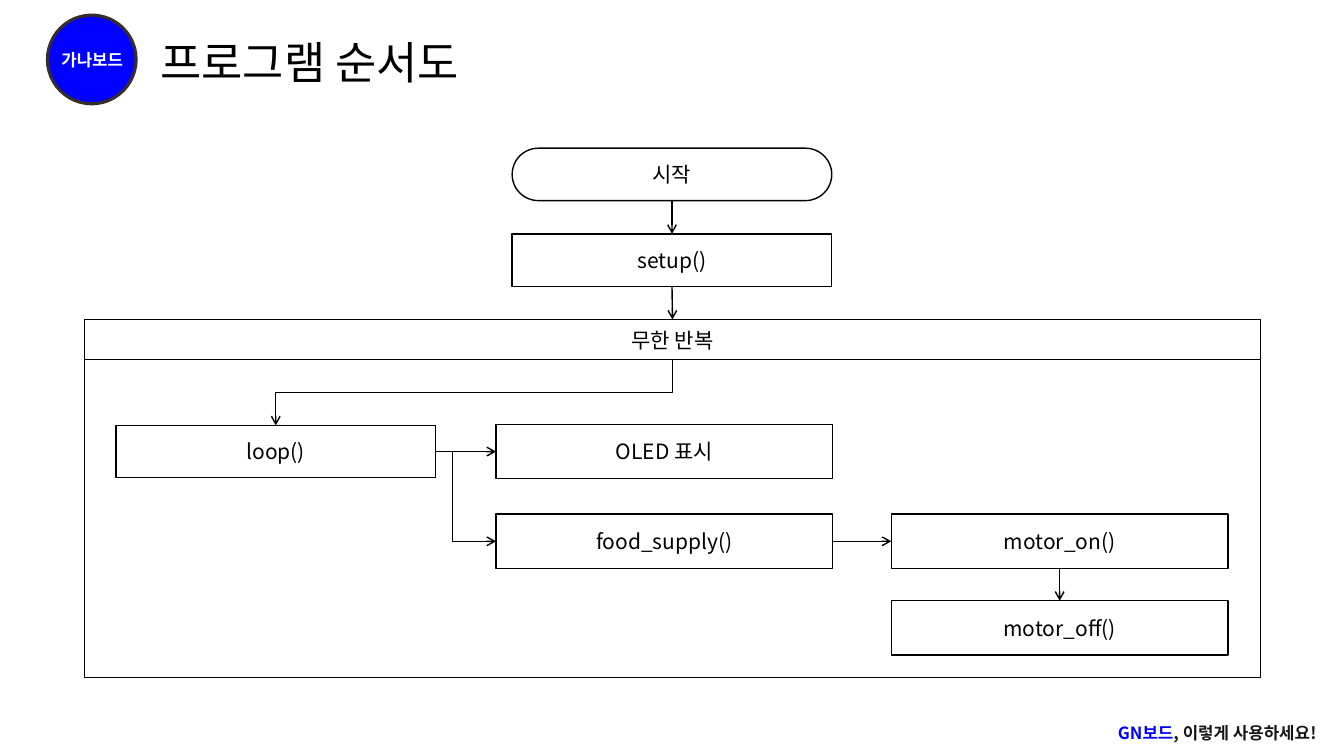
import pptx
import pptx.dml.color
import pptx.enum.shapes
import pptx.enum.text
import pptx.oxml
import pptx.oxml.ns
import pptx.util

FONT = "Noto Sans CJK KR"
W, H = 13.33, 7.5
MID = W / 2
TITLE = "프로그램 순서도"
BADGE = "가나보드"
FOOTER = [("GN보드", "0000FF"), (", 이렇게 사용하세요!", "181717")]

# column: (left, width); row: (top, height)
COLS = {"frame": (0.84, 11.66), "centre": (MID - 1.585, 3.17), "loop": (1.15, 3.17),
        "calls": (4.92, 3.34), "motor": (8.84, 3.34)}
ROWS = {"start": (1.47, 0.52), "setup": (2.32, 0.52), "frame": (3.17, 3.55),
        "header": (3.17, 0.4), "loop": (4.22, 0.52), "oled": (4.21, 0.54),
        "food": (5.1, 0.54), "off": (5.96, 0.54)}

# name: (text, column, row)
BOXES = {
    "start": ("시작", "centre", "start"),
    "setup": ("setup()", "centre", "setup"),
    "frame": ("", "frame", "frame"),
    "header": ("무한 반복", "frame", "header"),
    "loop": ("loop()", "loop", "loop"),
    "oled": ("OLED 표시", "calls", "oled"),
    "food": ("food_supply()", "calls", "food"),
    "motor_on": ("motor_on()", "motor", "food"),
    "motor_off": ("motor_off()", "motor", "off"),
}
TOP, LEFT, BOTTOM, RIGHT = range(4)
ARROWS = [
    ("start", BOTTOM, "setup", TOP),
    ("setup", BOTTOM, "header", TOP),
    ("loop", RIGHT, "oled", LEFT),
    ("food", RIGHT, "motor_on", LEFT),
    ("motor_on", BOTTOM, "motor_off", TOP),
]
BRANCH_X = 4.49

SHAPE = pptx.enum.shapes.MSO_SHAPE
LINK = pptx.enum.shapes.MSO_CONNECTOR
ALIGN = pptx.enum.text.PP_ALIGN
ANCHOR = pptx.enum.text.MSO_ANCHOR
inch = pptx.util.Inches


def rgb(code):
    return pptx.dml.color.RGBColor.from_string(code)


def write(tf, runs, size, align, bold=False):
    """Fill the first paragraph with (text, colour) runs."""
    p = tf.paragraphs[0]
    p.alignment = align
    for text, colour in runs:
        r = p.add_run()
        r.text = text
        for key, value in {"name": FONT, "size": pptx.util.Pt(size), "bold": bold}.items():
            setattr(r.font, key, value)
        r.font.color.rgb = rgb(colour)
        ea = pptx.oxml.parse_xml(f'<a:ea {pptx.oxml.ns.nsdecls("a")} typeface="{FONT}"/>')
        r.font._element.find(pptx.oxml.ns.qn("a:latin")).addnext(ea)
    return p


def add_block(kind, box, fill, line, width):
    sp = s.shapes.add_shape(kind, *map(inch, box))
    sp.shadow.inherit = False
    sp.fill.solid()
    sp.fill.fore_color.rgb = rgb(fill)
    sp.line.color.rgb = rgb(line)
    sp.line.width = pptx.util.Pt(width)
    return sp


def add_text(box, runs, align):
    tf = s.shapes.add_textbox(*map(inch, box)).text_frame
    tf.word_wrap = True
    write(tf, runs, 12, align, True)


def add_arrow(kind, *ends):
    c = s.shapes.add_connector(kind, *map(inch, ends))
    c.line.color.rgb = rgb("000000")
    c.line.width = pptx.util.Pt(1)
    ns = pptx.oxml.ns.nsdecls("a")
    c.line._get_or_add_ln().append(pptx.oxml.parse_xml(f'<a:tailEnd {ns} type="arrow"/>'))
    c._element.spPr.append(pptx.oxml.parse_xml(f"<a:effectLst {ns}/>"))
    return c


def add_drop(x1, y1, x2, y2, preset):
    """Bent arrow that leaves downwards, made by turning a sideways one."""
    cx, cy = (x1 + x2) / 2, (y1 + y2) / 2
    side = 1 if x2 < x1 else -1
    dx, dy = side * (y2 - y1) / 2, abs(x2 - x1) / 2
    c = add_arrow(LINK.ELBOW, cx - dx, cy - dy, cx + dx, cy + dy)
    c._element.spPr.find(pptx.oxml.ns.qn("a:xfrm")).set("rot", str(side * 90 % 360 * 60000))
    c._element.spPr.find(pptx.oxml.ns.qn("a:prstGeom")).set("prst", preset)


def middle(name, side):
    """Middle of a box's side, in inches."""
    _, col, row = BOXES[name]
    (x, w), (y, h) = COLS[col], ROWS[row]
    return [(x + w / 2, y), (x, y + h / 2), (x + w / 2, y + h), (x + w, y + h / 2)][side]


prs = pptx.Presentation()
prs.slide_width, prs.slide_height = inch(W), inch(H)
s = prs.slides.add_slide(prs.slide_layouts[5])

title = s.shapes.title
for key, value in {"left": 1.49, "top": 0.25, "width": 11.5, "height": 0.78}.items():
    setattr(title, key, inch(value))
title.text_frame.vertical_anchor = ANCHOR.MIDDLE
write(title.text_frame, [(TITLE, "000000")], 32, ALIGN.LEFT).line_spacing = 0.9

add_block(SHAPE.OVAL, (0.47, 0.15, 0.88, 0.88), "0000FF", "372E2B", 2.25)
add_text((0.26, 0.44, 1.31, 0.3), [(BADGE, "FFFFFF")], ALIGN.CENTER)
add_text((6.49, 7.12, W / 2, 0.3), FOOTER, ALIGN.RIGHT)

blocks = {}
for name, (text, col, row) in BOXES.items():
    (x, w), (y, h) = COLS[col], ROWS[row]
    kind = SHAPE.ROUNDED_RECTANGLE if name == "start" else SHAPE.RECTANGLE
    sp = blocks[name] = add_block(kind, (x, y, w, h), "FFFFFF", "000000", 1)
    if text:
        sp.text_frame.vertical_anchor = ANCHOR.MIDDLE
        write(sp.text_frame, [(text, "000000")], 15, ALIGN.CENTER)
blocks["start"].adjustments[0] = 0.5

for source, out, target, into in ARROWS:
    c = add_arrow(LINK.STRAIGHT, *middle(source, out), *middle(target, into))
    c.begin_connect(blocks[source], out)
    c.end_connect(blocks[target], into)

add_drop(*middle("header", BOTTOM), *middle("loop", TOP), "bentConnector3")
add_drop(BRANCH_X, middle("loop", RIGHT)[1], *middle("food", LEFT), "bentConnector2")

prs.save("out.pptx")
